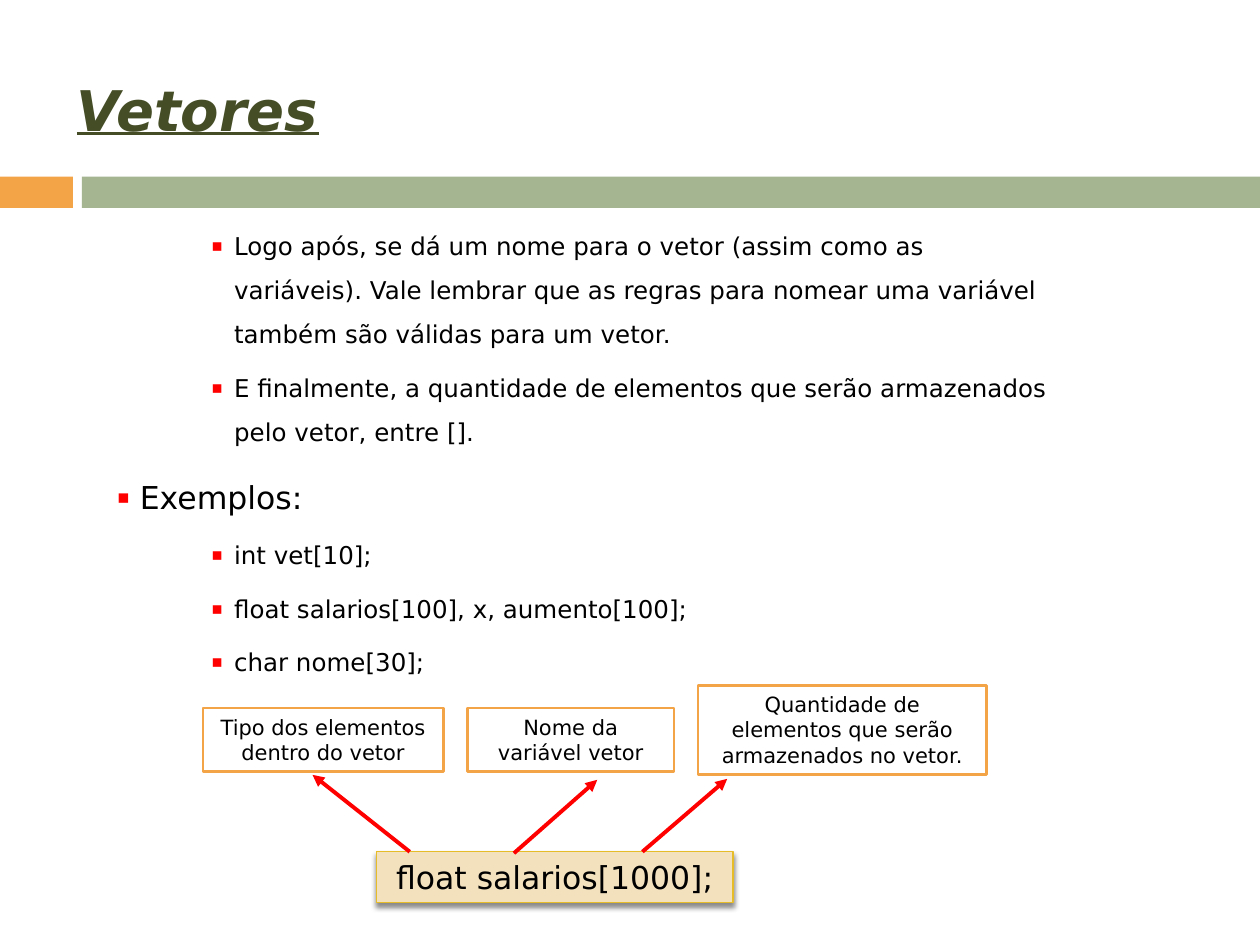
from lxml.etree import SubElement
from pptx import Presentation
from pptx.dml.color import RGBColor
from pptx.enum.shapes import MSO_CONNECTOR, MSO_SHAPE
from pptx.enum.text import MSO_ANCHOR, PP_ALIGN
from pptx.oxml import parse_xml
from pptx.oxml.ns import nsdecls, qn
from pptx.util import Cm, Pt

FONT = "DejaVu Sans"


def color(value):
    return RGBColor.from_string(value)


def add_box(left, top, width, height, fill, line=None, line_width=0, text="", size=12):
    """Add a rectangle in centimetres, with an optional outline and centred text."""
    box = slide.shapes.add_shape(
        MSO_SHAPE.RECTANGLE, Cm(left), Cm(top), Cm(width), Cm(height))
    box.shadow.inherit = False
    box.fill.solid()
    box.fill.fore_color.rgb = color(fill)
    if line:
        box.line.color.rgb = color(line)
        box.line.width = Pt(line_width)
    else:
        box.line.fill.background()
    if text:
        box.text_frame.word_wrap = True
        box.text_frame.vertical_anchor = MSO_ANCHOR.TOP
        box.text_frame.text = text
        paragraph = box.text_frame.paragraphs[0]
        paragraph.alignment = PP_ALIGN.CENTER
        font = paragraph.runs[0].font
        font.name, font.size = FONT, Pt(size)
        font.color.rgb = color("000000")
    return box


presentation = Presentation()
presentation.slide_width, presentation.slide_height = Cm(25.4), Cm(19.05)
slide = presentation.slides.add_slide(presentation.slide_layouts[6])

# Divider band
add_box(0, 3.56, 1.47, 0.63, "F3A447")
add_box(1.65, 3.56, 23.75, 0.63, "A5B592")

# Title
title = slide.shapes.add_textbox(Cm(1.3), Cm(1.25), Cm(22.86), Cm(1.88)).text_frame
title.word_wrap = True
title.vertical_anchor = MSO_ANCHOR.MIDDLE
title.text = "Vetores"
title_font = title.paragraphs[0].runs[0].font
title_font.name, title_font.size = FONT, Pt(32)
title_font.bold = title_font.italic = title_font.underline = True
title_font.color.rgb = color("444D26")

# Bulleted text: (level, wording)
topics = [
    (1, "Logo após, se dá um nome para o vetor (assim como as variáveis). Vale lembrar "
        "que as regras para nomear uma variável também são válidas para um vetor."),
    (1, "E finalmente, a quantidade de elementos que serão armazenados pelo vetor, entre []."),
    (0, "Exemplos:"),
    (1, "int vet[10];"),
    (1, "float salarios[100], x, aumento[100];"),
    (1, "char nome[30];"),
]
# Per level: text size, space before, left margin in cm, bullet size
levels = [(18, 7, 0.46, "60000"), (14, 5.5, 2.36, "70000")]

body = slide.shapes.add_textbox(Cm(2.11), Cm(4.24), Cm(19.25), Cm(13.97)).text_frame
body.word_wrap = True
body.text = "\n".join(wording for _, wording in topics)
for paragraph, (level, _) in zip(body.paragraphs, topics):
    size, space_before, margin, bullet_size = levels[level]
    paragraph.level = level
    paragraph.line_spacing = 1.5
    paragraph.space_before = Pt(space_before)
    font = paragraph.runs[0].font
    font.name, font.size = FONT, Pt(size)
    font.color.rgb = color("000000")
    properties = paragraph._p.get_or_add_pPr()
    properties.set("marL", str(Cm(margin)))
    properties.set("indent", str(Cm(-0.46)))
    bullet_color = SubElement(properties, qn("a:buClr"))
    SubElement(bullet_color, qn("a:srgbClr"), val="FF0000")
    SubElement(properties, qn("a:buSzPct"), val=bullet_size)
    SubElement(properties, qn("a:buFont"), typeface=FONT)
    SubElement(properties, qn("a:buChar"), char="▪")

# Declaration with its shadow
declaration = add_box(7.59, 17.17, 7.19, 1.02, "F3E1BE", "E7BC29", 0.79,
                      "float salarios[1000];", 18)
declaration_properties = declaration._element.spPr
declaration_properties.remove(declaration_properties.find(qn("a:effectLst")))
declaration_properties.append(parse_xml(
    f'<a:effectLst {nsdecls("a")}>'
    f'<a:outerShdw blurRad="{Pt(3)}" dist="{Pt(2.4)}" dir="5400000" rotWithShape="0">'
    '<a:srgbClr val="000000"><a:alpha val="45000"/></a:srgbClr>'
    '</a:outerShdw></a:effectLst>'))

# Arrows from the parts of the declaration to their explanations
arrows = [
    (8.26, 17.17, 6.3, 15.62),
    (10.36, 17.2, 12.04, 15.72),
    (12.95, 17.17, 14.66, 15.7),
]
for ends in arrows:
    arrow = slide.shapes.add_connector(MSO_CONNECTOR.STRAIGHT, *map(Cm, ends))
    arrow.line.color.rgb = color("FF0000")
    arrow.line.width = Pt(2.25)
    SubElement(arrow.line._get_or_add_ln(), qn("a:tailEnd"), type="triangle")
    SubElement(arrow._element.spPr, qn("a:effectLst"))

# Explanations: left, top, width, height, wording
explanations = [
    (4.09, 14.27, 4.85, 1.28, "Tipo dos elementos dentro do vetor"),
    (9.42, 14.27, 4.17, 1.28, "Nome da variável vetor"),
    (14.07, 13.82, 5.82, 1.79, "Quantidade de elementos que serão armazenados no vetor."),
]
for left, top, width, height, wording in explanations:
    add_box(left, top, width, height, "FFFFFF", "F3A447", 1.5, wording)

presentation.save("out.pptx")
